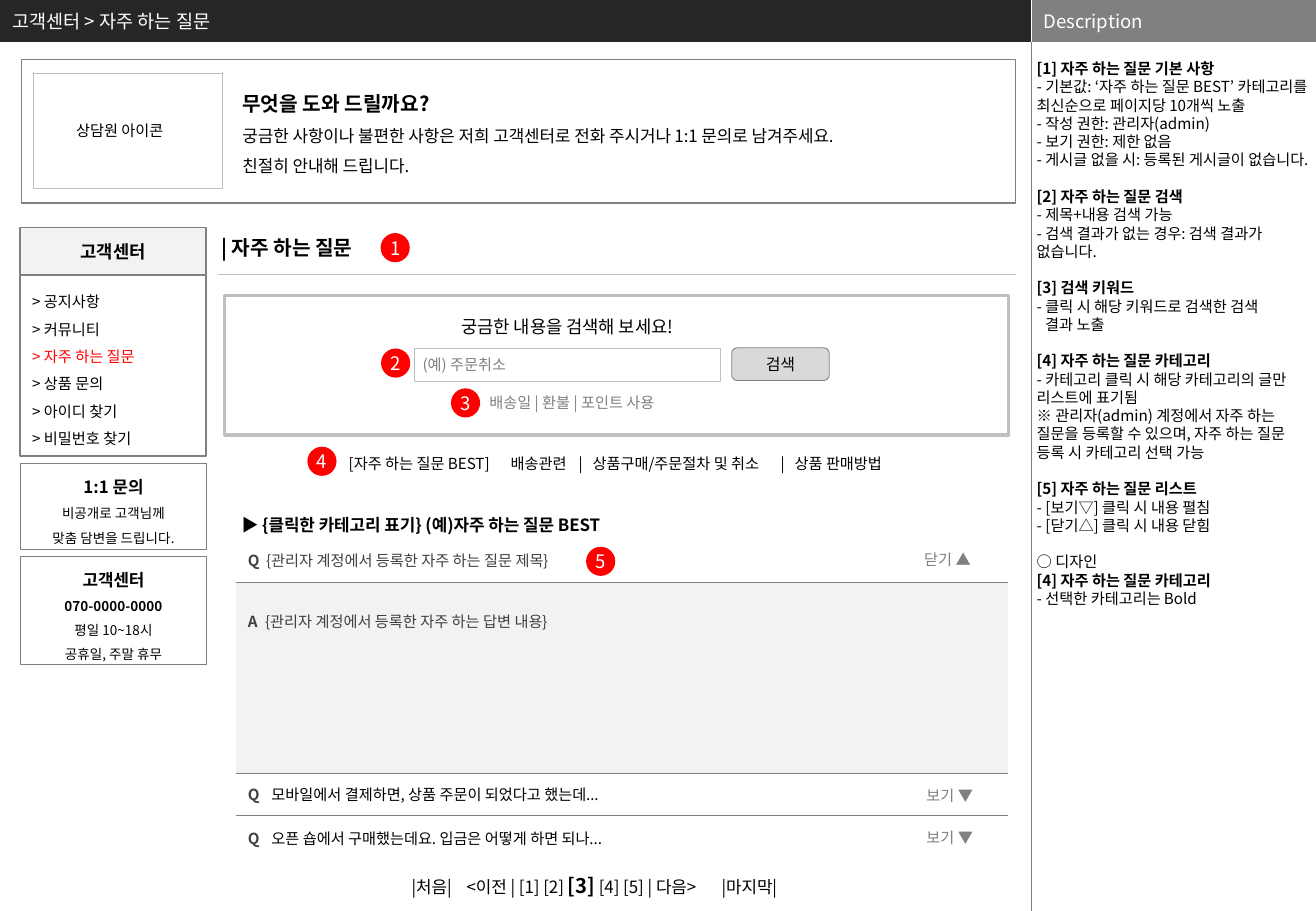
import pptx
import pptx.util
import pptx.oxml.ns
from lxml import etree
from pptx.dml.color import RGBColor
from pptx.enum.shapes import MSO_CONNECTOR, MSO_SHAPE
from pptx.enum.text import MSO_ANCHOR, MSO_AUTO_SIZE, PP_ALIGN

Pt = pptx.util.Pt
qn = pptx.oxml.ns.qn
FONT = "Noto Sans CJK KR"
NO_STYLE = "{2D5ABB26-0587-4C30-8999-92F81FD0307C}"
BLACK = RGBColor(0x00, 0x00, 0x00)
WHITE = RGBColor(0xFF, 0xFF, 0xFF)
RED = RGBColor(0xFF, 0x00, 0x00)
CHARCOAL = RGBColor(0x26, 0x26, 0x26)
DARK = RGBColor(0x40, 0x40, 0x40)
GRAY = RGBColor(0x80, 0x80, 0x80)
SILVER = RGBColor(0xBF, 0xBF, 0xBF)
LIGHT = RGBColor(0xD9, 0xD9, 0xD9)
PALE = RGBColor(0xF2, 0xF2, 0xF2)
BADGE = 17.3
LINE = 10.82

DESCRIPTION = [
    ["[1] 자주 하는 질문 기본 사항",
     "- 기본값: ‘자주 하는 질문 BEST’ 카테고리를 최신순으로 페이지당 10개씩 노출",
     "- 작성 권한: 관리자(admin)", "- 보기 권한: 제한 없음",
     "- 게시글 없을 시: 등록된 게시글이 없습니다."],
    ["[2] 자주 하는 질문 검색", "- 제목+내용 검색 가능",
     "- 검색 결과가 없는 경우: 검색 결과가 없습니다."],
    ["[3] 검색 키워드", "- 클릭 시 해당 키워드로 검색한 검색", "결과 노출"],
    ["[4] 자주 하는 질문 카테고리",
     "- 카테고리 클릭 시 해당 카테고리의 글만 리스트에 표기됨",
     "※ 관리자(admin) 계정에서 자주 하는 질문을 등록할 수 있으며, "
     "자주 하는 질문 등록 시 카테고리 선택 가능"],
    ["[5] 자주 하는 질문 리스트", "- [보기▽] 클릭 시 내용 펼침",
     "- [닫기△] 클릭 시 내용 닫힘"],
    ["○ 디자인", "[4] 자주 하는 질문 카테고리", "- 선택한 카테고리는 Bold"],
]
MENU = ["공지사항", "커뮤니티", "자주 하는 질문", "상품 문의", "아이디 찾기", "비밀번호 찾기"]
# Rows of the list: mark, text, text colour, height, tab stop, top margin, toggle
FAQ = [
    ("Q", "{관리자 계정에서 등록한 자주 하는 질문 제목}", DARK, 26.6, 10.8, 3.6, "닫기 ▲"),
    ("A", "{관리자 계정에서 등록한 자주 하는 답변 내용}", DARK, 113, 10.2, 16.6, None),
    ("Q", "모바일에서 결제하면, 상품 주문이 되었다고 했는데...", BLACK, 25.2, 14, 3.6, "보기 ▼"),
    ("Q", "오픈 숍에서 구매했는데요. 입금은 어떻게 하면 되나...", BLACK, 26.6, 14, 3.6, "보기 ▼"),
]


def style_run(r, size, color, bold):
    r.font.size, r.font.bold = Pt(size), bold
    r.font.color.rgb = color
    r.font.name = FONT
    etree.SubElement(r._r.get_or_add_rPr(), qn("a:ea"), typeface=FONT)


def write(tf, paras, align=PP_ALIGN.LEFT, spacing=None, tabs=()):
    """Each paragraph is a list of runs: (text, size, colour, bold)."""
    for i, runs in enumerate(paras):
        p = tf.paragraphs[0] if i == 0 else tf.add_paragraph()
        p.alignment, p.line_spacing = align, spacing
        if tabs:
            lst = etree.SubElement(p._p.get_or_add_pPr(), qn("a:tabLst"))
            for pos in tabs:
                etree.SubElement(lst, qn("a:tab"), pos=str(Pt(pos)), algn="l")
        for text, size, color, bold in runs:
            r = p.add_run()
            r.text = text
            style_run(r, size, color, bold)


def set_frame(tf, inset=(7.2, 3.6), anchor=MSO_ANCHOR.TOP, wrap=True):
    tf.margin_left = tf.margin_right = Pt(inset[0])
    tf.margin_top = tf.margin_bottom = Pt(inset[1])
    tf.vertical_anchor, tf.word_wrap = anchor, wrap
    tf.auto_size = MSO_AUTO_SIZE.NONE


def add_label(s, x, y, w, h, paras, wrap=True, **kw):
    tf = s.shapes.add_textbox(Pt(x), Pt(y), Pt(w), Pt(h)).text_frame
    set_frame(tf, wrap=wrap)
    write(tf, paras, **kw)


def add_box(s, x, y, w, h, fill=None, line=None, width=0.75, paras=(),
            kind=MSO_SHAPE.RECTANGLE, inset=(7.2, 3.6), wrap=True, **kw):
    sp = s.shapes.add_shape(kind, Pt(x), Pt(y), Pt(w), Pt(h))
    sp.shadow.inherit = False
    if fill is None:
        sp.fill.background()
    else:
        sp.fill.solid()
        sp.fill.fore_color.rgb = fill
    if line is None:
        sp.line.fill.background()
    else:
        sp.line.color.rgb, sp.line.width = line, Pt(width)
    set_frame(sp.text_frame, inset, MSO_ANCHOR.MIDDLE, wrap)
    write(sp.text_frame, paras, **kw)


def add_badge(s, x, y, number):
    add_box(s, x, y, BADGE, BADGE, RED, paras=[[(str(number), 11, WHITE, False)]],
            kind=MSO_SHAPE.OVAL, inset=(0, 0), wrap=False, align=PP_ALIGN.CENTER)


def add_rule(s, x1, y1, x2, y2, color, width):
    c = s.shapes.add_connector(MSO_CONNECTOR.STRAIGHT, Pt(x1), Pt(y1), Pt(x2), Pt(y2))
    c.line.color.rgb, c.line.width = color, Pt(width)
    etree.SubElement(c._element.spPr, qn("a:effectLst"))


def add_plain_table(s, x, y, w, heights):
    frame = s.shapes.add_table(len(heights), 1, Pt(x), Pt(y), Pt(w), Pt(sum(heights)))
    table = frame.table
    table.first_row = table.horz_banding = False
    table._tbl.tblPr.find(qn("a:tableStyleId")).text = NO_STYLE
    for row, h in zip(table.rows, heights):
        row.height = Pt(h)
    return table


def add_borders(cell, sides, color):
    for side in sides:
        ln = etree.SubElement(cell._tc.get_or_add_tcPr(), qn("a:ln" + side), w=str(Pt(0.5)))
        etree.SubElement(etree.SubElement(ln, qn("a:solidFill")), qn("a:srgbClr"), val=str(color))


def place(sp, x, y, w, h):
    sp.left, sp.top, sp.width, sp.height = Pt(x), Pt(y), Pt(w), Pt(h)


def page_header(s, x, y, w, h):
    sp = s.shapes.title
    place(sp, x, y, w, h)
    sp.fill.solid()
    sp.fill.fore_color.rgb = CHARCOAL
    set_frame(sp.text_frame, anchor=MSO_ANCHOR.MIDDLE)
    write(sp.text_frame, [[("고객센터 > 자주 하는 질문", 11, WHITE, False)]])


def description_panel(s, x, y, w, h, bar):
    add_box(s, x, y, w, bar, GRAY, paras=[[("Description", 11, WHITE, False)]])
    add_rule(s, x, y, x, y + bar, WHITE, 0.25)
    add_rule(s, x, y + bar, x, y + h, GRAY, 0.25)
    sp = s.placeholders[1]
    place(sp, x + 0.3, y + bar + LINE - 0.5, w - 0.3, h - bar - LINE)
    tf = sp.text_frame
    set_frame(tf, (2.9, 0))
    lines = [(t, k == 0) for part in DESCRIPTION for k, t in enumerate(part)]
    write(tf, [[(t, 9, BLACK, t.startswith("["))] for t, _ in lines], spacing=Pt(LINE))
    for i, (p, (text, first)) in enumerate(zip(tf.paragraphs, lines)):
        p.space_before = Pt(LINE if first and i else 0)
        pPr = p._p.get_or_add_pPr()
        pPr.set("marL", str(Pt(5 if text == "결과 노출" else 0)))
        pPr.set("indent", "0")
        etree.SubElement(pPr, qn("a:buNone"))


def intro_banner(s, x, y, w, h):
    add_box(s, x, y, w, h, line=GRAY)
    # Icon frame and its caption
    cell = add_plain_table(s, x + 7.2, y + 7.9, 111.6, [68.4]).cell(0, 0)
    add_borders(cell, "LRTB", SILVER)
    add_box(s, x + 25.2, y + 32.8, 75.6, 18, WHITE,
            paras=[[("상담원 아이콘", 9, BLACK, False)]])
    add_label(s, x + 123.8, y + 7.9, 424, 65.5, [
        [("무엇을 도와 드릴까요?", 12, BLACK, True)],
        [("궁금한 사항이나 불편한 사항은 저희 고객센터로 전화 주시거나 1:1 문의로 남겨주세요.",
          10, BLACK, False)],
        [("친절히 안내해 드립니다.", 10, BLACK, False)]], spacing=1.5)


def sidebar(s, x, y, w):
    # Menu
    add_box(s, x, y + 28.1, w, 107.3, line=GRAY, width=1, spacing=1.5,
            paras=[[("> " + t, 9, RED if t == "자주 하는 질문" else BLACK, False)] for t in MENU])
    add_box(s, x, y, w, 28.1, PALE, GRAY, 1,
            [[("고객센터", 10.5, BLACK, True)]], align=PP_ALIGN.CENTER)
    # Contact cards
    cards = [(139.7, 51.1, ["1:1 문의", "비공개로 고객님께", "맞춤 담변을 드립니다."]),
             (195, 64.1, ["고객센터", "070-0000-0000", "평일 10~18시", "공휴일, 주말 휴무"])]
    for dy, h, texts in cards:
        paras = [[(t, 8 if k else 10, BLACK, k == 0 or t.startswith("070"))]
                 for k, t in enumerate(texts)]
        add_box(s, x + 0.2, y + dy, w, h, line=GRAY, paras=paras, inset=(2.9, 2.9),
                wrap=False, align=PP_ALIGN.CENTER, spacing=1.5)


def section_heading(s, x, y, w):
    add_label(s, x, y, 113, 21.6, [[("| 자주 하는 질문", 12, BLACK, True)]])
    add_rule(s, x + 5.1, y + 26.6, x + w, y + 26.6, SILVER, 0.75)
    add_badge(s, x + 101.6, y + 2.1, 1)


def search_panel(s, x, y, w, h):
    add_box(s, x, y, w, h, line=SILVER, width=2)
    add_label(s, x + 121, y + 8.6, 164.2, 20.2,
              [[("궁금한 내용을 검색해 보세요!", 10.5, BLACK, False)]], align=PP_ALIGN.CENTER)
    add_box(s, x + 112.3, y + 31.6, 181.4, 19.4, line=SILVER, width=0.5,
            paras=[[("(예) 주문취소", 9, GRAY, False)]], inset=(5, 2.9))
    add_box(s, x + 300.5, y + 31.2, 57.8, 19.4, LIGHT, GRAY, 0.5,
            [[("검색", 9.5, BLACK, False)]], MSO_SHAPE.ROUNDED_RECTANGLE, align=PP_ALIGN.CENTER)
    add_label(s, x + 149.8, y + 54.7, 129.6, 18, [[("배송일 | 환불 | 포인트 사용", 9, GRAY, False)]])
    add_badge(s, x + 92.7, y + 31.6, 2)
    add_badge(s, x + 134.1, y + 55.2, 3)


def category_bar(s, x, y, w):
    add_badge(s, x, y, 4)
    text = "[자주 하는 질문 BEST]\t배송관련\t|\t상품구매/주문절차 및 취소\t|\t상품 판매방법"
    add_label(s, x + 17.4, y + 0.9, w, 18, [[(text, 9, BLACK, False)]],
              tabs=(96, 136.3, 144.6, 256, 264.3))


def faq_list(s, x, y, w):
    add_label(s, x - 3.6, y - 17.4, 253.4, 20.2,
              [[("▶ {클릭한 카테고리 표기} (예)자주 하는 질문 BEST", 10, BLACK, True)]])
    table = add_plain_table(s, x, y, w, [row[3] for row in FAQ])
    top = y
    for i, (mark, text, color, h, tab, margin, toggle) in enumerate(FAQ):
        cell = table.cell(i, 0)
        add_borders(cell, "B" if i < len(FAQ) - 1 else "", GRAY)
        if mark == "A":
            cell.fill.solid()
            cell.fill.fore_color.rgb = PALE
        cell.vertical_anchor = MSO_ANCHOR.TOP if mark == "A" else MSO_ANCHOR.MIDDLE
        cell.margin_top = Pt(margin)
        write(cell.text_frame, [[(mark + "\t", 9, DARK, True), (text, 9, color, False)]], tabs=(tab,))
        if toggle:
            add_label(s, x + (402.3 if i else 401), top + 4.3, 54, 18, [[(toggle, 9, GRAY, False)]])
        top += h
    add_badge(s, x + 207.7, y + 5.5, 5)


def pagination(s, x, y, w):
    add_label(s, x, y, w, 21.6, [[
        ("|처음|\t<이전 | [1] [2] ", 10, BLACK, False), ("[3]", 12, BLACK, True),
        (" [4] [5] | 다음>\t|마지막|", 10, BLACK, False)]], tabs=(32.6, 183.7))


def main():
    prs = pptx.Presentation()
    prs.slide_width, prs.slide_height = Pt(780), Pt(540)
    s = prs.slides.add_slide(prs.slide_layouts[1])
    page_header(s, 0, 0, 611.3, 24.9)
    description_panel(s, 611.3, 0, 168.7, 540, 24.9)
    intro_banner(s, 12.8, 35.3, 589.2, 85)
    sidebar(s, 12, 134.9, 110.2)
    section_heading(s, 124, 136.1, 478.1)
    search_panel(s, 133.2, 175, 464.4, 82.8)
    category_bar(s, 182.2, 264.8, 400)
    faq_list(s, 139.7, 318.6, 457.9)
    pagination(s, 236.9, 514.1, 260)
    prs.save("out.pptx")


if __name__ == "__main__":
    main()
